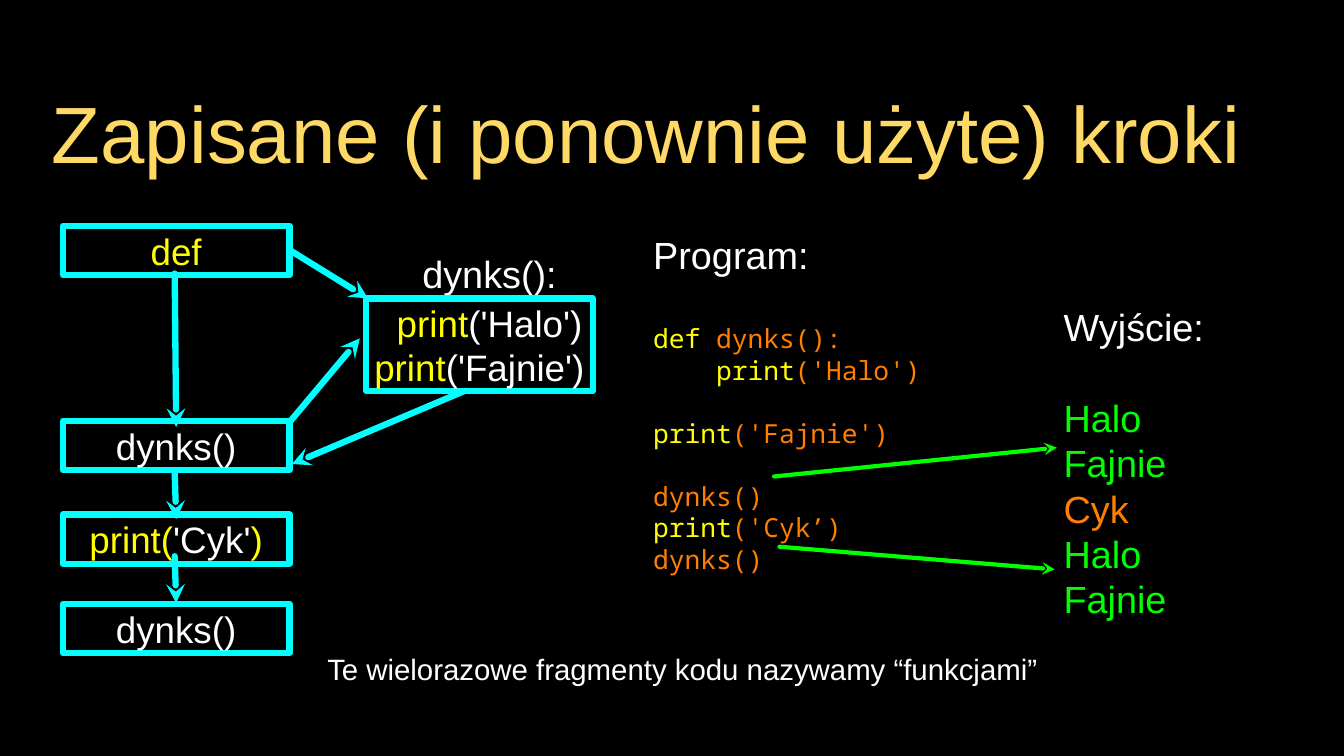
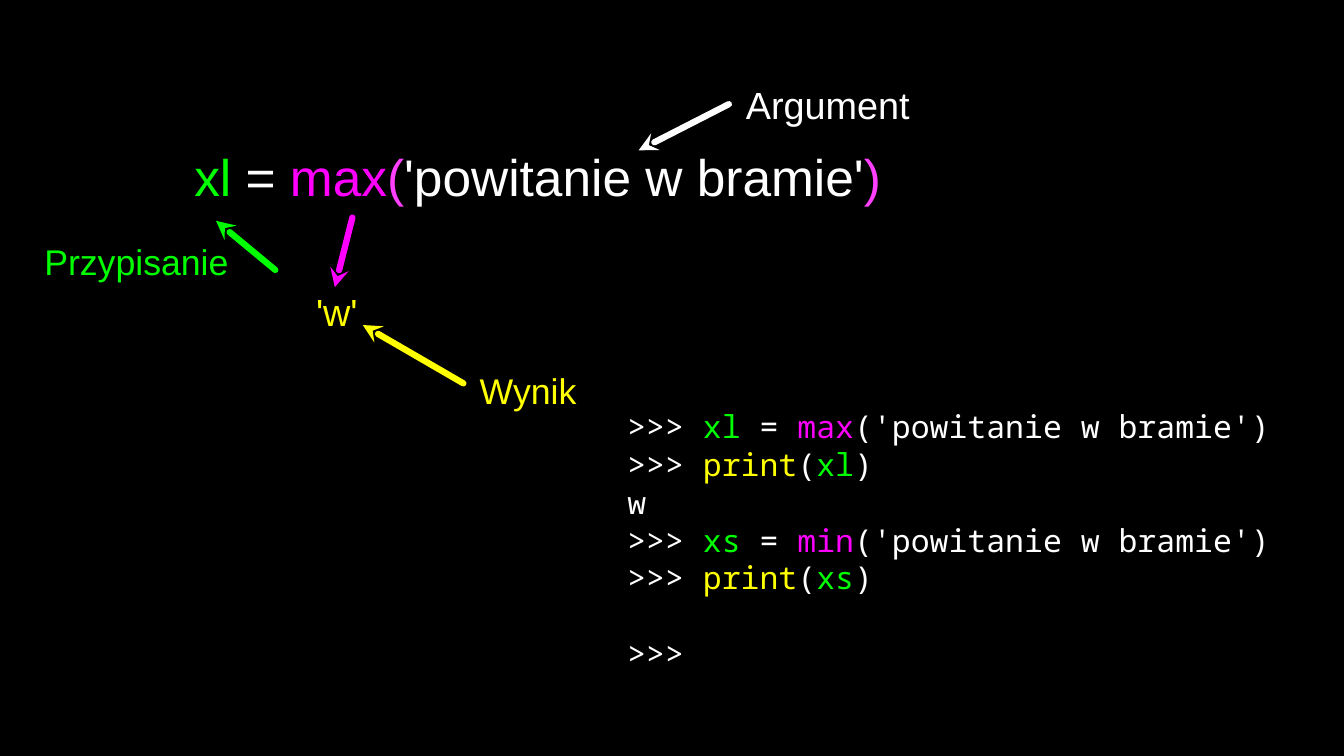
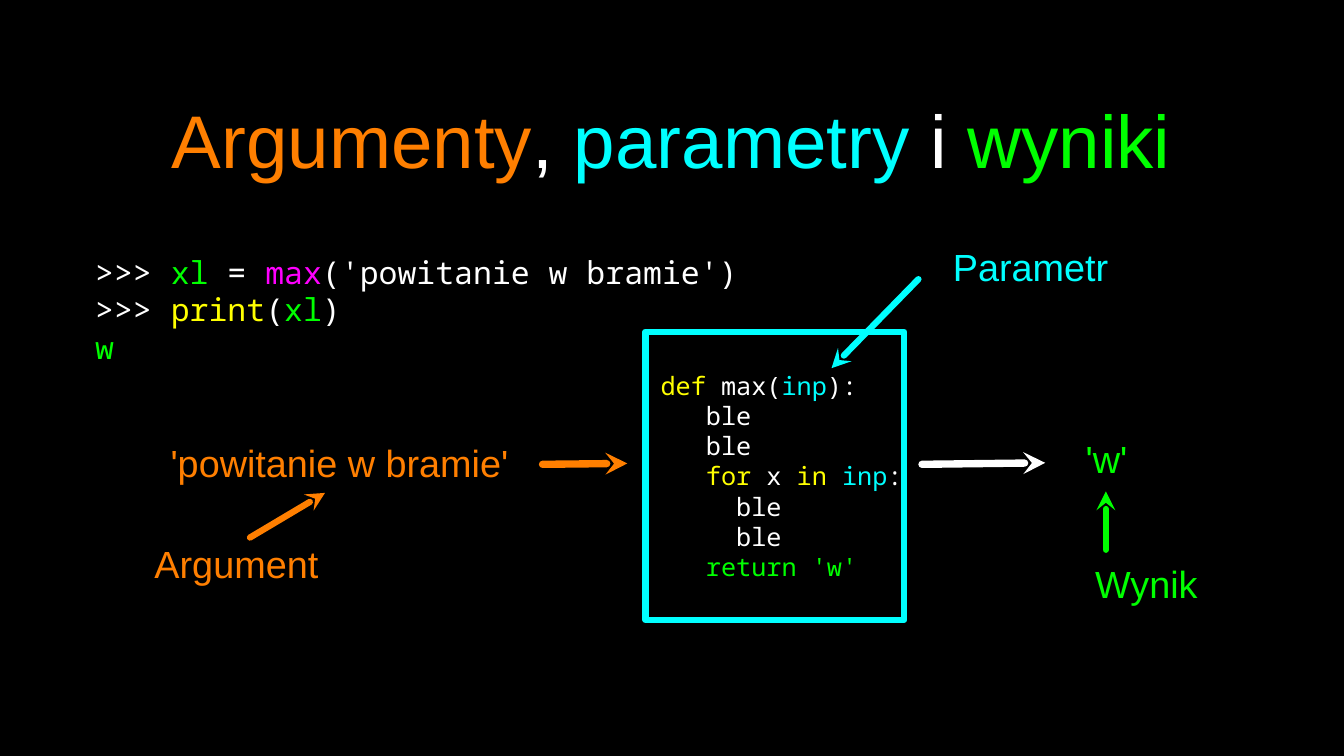
from collections import namedtuple

from lxml import etree
from pptx import Presentation
from pptx.dml.color import RGBColor
from pptx.enum.shapes import MSO_CONNECTOR, MSO_SHAPE
from pptx.enum.text import MSO_ANCHOR, PP_ALIGN
from pptx.oxml.ns import qn
from pptx.util import Cm, Pt

STRAIGHT = MSO_CONNECTOR.STRAIGHT
RECTANGLE = MSO_SHAPE.RECTANGLE
MIDDLE = MSO_ANCHOR.MIDDLE
LEFT, CENTER = PP_ALIGN.LEFT, PP_ALIGN.CENTER

COLORS = {
    "black": "000000", "white": "FFFFFF", "gold": "FFD966", "yellow": "FFFF00",
    "cyan": "00FFFF", "green": "00FF00", "orange": "FF7F00",
    "magenta": "FF00FF", "pink": "FF40FF",
}
SANS, MONO = "Arial", "Noto Sans Mono"
LEADING = 1.2
LABEL_HEIGHT = 1.73
FRAME_FORMAT = {
    "word_wrap": True, "vertical_anchor": MIDDLE, "margin_left": 0,
    "margin_right": 0, "margin_top": 0, "margin_bottom": 0,
}

Box = namedtuple("Box", "left top width height")
Line = namedtuple("Line", "runs size font before")


def rgb(color):
    """Return the named palette colour."""
    return RGBColor.from_string(COLORS[color])


def within(area, left, top, width, height=LABEL_HEIGHT):
    """Return a box placed relative to an area, in centimetres."""
    return Box(area.left + left, area.top + top, width, height)


def line(*runs, size=36, font=SANS, before=0):
    """Describe a line of (colour, text) runs."""
    return Line(runs, size, font, before)


def code(*runs, size=30, before=0):
    """Describe a line of program text."""
    return line(*runs, size=size, font=MONO, before=before)


def write(frame, lines, align):
    """Fill a text frame with lines."""
    for name, value in FRAME_FORMAT.items():
        setattr(frame, name, value)
    for index, content in enumerate(lines):
        paragraph = frame.add_paragraph() if index else frame.paragraphs[0]
        spacing = {"alignment": align, "line_spacing": Pt(content.size * LEADING)}
        if content.before:
            spacing["space_before"] = Pt(content.before)
        for name, value in spacing.items():
            setattr(paragraph, name, value)
        for color, text in content.runs:
            run = paragraph.add_run()
            run.text = text
            for name, value in {"name": content.font, "size": Pt(content.size)}.items():
                setattr(run.font, name, value)
            run.font.color.rgb = rgb(color)


def add_text(slide, box, *lines, align=CENTER):
    """Add a text box."""
    write(slide.shapes.add_textbox(*map(Cm, box)).text_frame, lines, align)


def stroke(shape, color, width):
    """Give a shape a rounded line and return its XML element."""
    shape.line.color.rgb = rgb(color)
    shape.line.width = Pt(width)
    outline = shape.line._get_or_add_ln()
    outline.set("cap", "rnd")
    etree.SubElement(outline, qn("a:round"))
    return outline


def add_frame(slide, box, *lines, align=CENTER):
    """Add a cyan outlined box with text."""
    frame = slide.shapes.add_shape(RECTANGLE, *map(Cm, box))
    frame.shadow.inherit = False
    frame.fill.background()
    stroke(frame, "cyan", 6)
    write(frame.text_frame, lines, align)


def add_arrow(slide, area, tip, tail, color, width=6):
    """Add an arrow whose ends are relative to an area."""
    ends = (area.left + tip[0], area.top + tip[1],
            area.left + tail[0], area.top + tail[1])
    arrow = slide.shapes.add_connector(STRAIGHT, *map(Cm, ends))
    outline = stroke(arrow, color, width)
    etree.SubElement(outline, qn("a:headEnd"), type="stealth")
    etree.SubElement(arrow._element.spPr, qn("a:effectLst"))


def add_title(slide, box, *runs, size):
    """Add a slide title."""
    add_text(slide, box, line(*runs, size=size))


def assignment(name, function):
    """Return the console line that stores a function's result."""
    return code(("white", ">>> "), ("green", name), ("white", " = "),
                ("magenta", function), ("white", "('powitanie w bramie')"))


def printing(name):
    """Return the console line that prints a variable."""
    return code(("white", ">>> "), ("yellow", "print"), ("white", "("),
                ("green", name), ("white", ")"))


def call_flow(slide, area):
    """Draw the steps of the program and the stored function."""
    steps = [
        (0, [("yellow", "def")]),
        (6.55, [("white", "dynks()")]),
        (9.7, [("yellow", "print("), ("white", "'Cyk'"), ("yellow", ")")]),
        (12.7, [("white", "dynks()")]),
    ]
    for top, runs in steps:
        add_frame(slide, within(area, 0, top, 7.62, 1.65), line(*runs, size=35))
    add_text(slide, within(area, 11.89, 0.74, 4.9), line(("white", "dynks():")))
    add_frame(slide, within(area, 10.19, 2.44, 7.62, 3.1),
              line(("white", "  "), ("yellow", "print"), ("white", "('Halo')"), size=35),
              line(("yellow", "print"), ("white", "('Fajnie')"), size=35))
    for tip, tail in [(6.76, 1.6), (9.86, 8.28), (12.67, 11.1)]:
        add_arrow(slide, area, (3.81, tip), (3.76, tail), "cyan")
    for tip, tail in [((10.26, 2.44), (7.62, 0.81)), ((9.98, 3.78), (7.59, 6.63)),
                      ((7.7, 8), (13.51, 5.54))]:
        add_arrow(slide, area, tip, tail, "cyan")


def program_and_output(slide, area):
    """Show the program beside what it prints."""
    def_gap, call_gap = 36 * LEADING, 25 * LEADING
    add_text(
        slide, within(area, 0, 0, 9.96, 10.57),
        line(("white", "Program:")),
        code(("yellow", "def "), ("orange", "dynks():"), size=25, before=def_gap),
        code(("yellow", "    print"), ("orange", "('Halo')"), size=25),
        code(("yellow", "    print"), ("orange", "('Fajnie')"), size=25),
        code(("orange", "dynks()"), size=25, before=call_gap),
        code(("yellow", "print"), ("orange", "('Cyk’)"), size=25),
        code(("orange", "dynks()"), size=25),
        align=LEFT)
    add_text(
        slide, within(area, 13.79, 2.08, 8.79, 10.41),
        line(("white", "Wyjście:")),
        line(("green", "Halo"), before=def_gap),
        line(("green", "Fajnie")),
        line(("orange", "Cyk")),
        line(("green", "Halo")),
        line(("green", "Fajnie")),
        align=LEFT)
    add_arrow(slide, area, (13.56, 6.78), (4.06, 7.75), "green", 4)
    add_arrow(slide, area, (13.49, 10.87), (4.24, 10.11), "green", 4)


def annotated_call(slide, area):
    """Label the parts of a call to max."""
    add_text(slide, within(area, 5.59, 2.13, 25.78, 2.26),
             line(("green", "xl"), ("white", " = "), ("magenta", "max"), ("pink", "("),
                  ("white", "'powitanie w bramie'"), ("pink", ")"), size=49),
             align=LEFT)
    labels = [
        ("Argument", 23.55, 0, 6.65, 36, "white"),
        ("'w'", 9.53, 6.96, 1.7, 36, "yellow"),
        ("Wynik", 15.04, 9.6, 3.53, 34, "yellow"),
        ("Przypisanie", 0, 5.28, 7.29, 34, "green"),
    ]
    for text, left, top, width, size, color in labels:
        add_text(slide, within(area, left, top, width), line((color, text), size=size))
    arrows = [
        ((20.52, 2.41), (23.55, 0.86), "white"),
        ((11.25, 8.28), (14.63, 10.24), "yellow"),
        ((6.32, 4.78), (8.31, 6.43), "green"),
        ((10.31, 7.01), (10.9, 4.67), "magenta"),
    ]
    for arrow in arrows:
        add_arrow(slide, area, *arrow)


def data_flow(slide, area):
    """Follow the argument through max to its result."""
    body = [
        [("yellow", " def"), ("white", " max("), ("cyan", "inp"), ("white", "):")],
        [("white", "    ble")],
        [("white", "    ble")],
        [("yellow", "    for"), ("white", " x "), ("yellow", "in "),
         ("cyan", "inp"), ("white", ":")],
        [("white", "      ble")],
        [("white", "      ble")],
        [("green", "    return 'w'")],
    ]
    add_frame(slide, within(area, 16.97, 3.07, 8.69, 9.68),
              *(code(*runs, size=24) for runs in body), align=LEFT)
    labels = [
        ("'powitanie w bramie'", 0.58, 6.6, 12.22, "orange"),
        ("Argument", 0, 9.98, 6.45, "orange"),
        ("Parametr", 26.47, 0, 6.88, "cyan"),
        ("'w'", 31.57, 6.45, 1.78, "green"),
        ("Wynik", 31.45, 10.67, 4.7, "green"),
    ]
    for text, left, top, width, color in labels:
        add_text(slide, within(area, left, top, width), line((color, text)))
    arrows = [
        ((16.36, 7.49), (13.51, 7.52), "orange", 7),
        ((30.4, 7.47), (26.26, 7.52), "white", 7),
        ((6.2, 8.48), (3.68, 9.98), "orange"),
        ((23.22, 4.29), (26.14, 1.3), "cyan"),
        ((32.44, 8.43), (32.44, 10.39), "green"),
    ]
    for arrow in arrows:
        add_arrow(slide, area, *arrow)


def reused_steps_slide(slide, page):
    """Build the slide on stored and reused steps."""
    add_title(slide, within(page, 1.5, 2.01, 40.41, 4.83),
              ("gold", "Zapisane (i ponownie użyte) kroki"), size=76)
    call_flow(slide, within(page, 2.11, 7.59, 17.81, 14.35))
    program_and_output(slide, within(page, 21.95, 8.26, 22.58, 12.49))
    add_text(slide, within(page, 10.69, 21.59, 24.46),
             line(("white", "Te wielorazowe fragmenty kodu nazywamy “funkcjami”"), size=28))


def max_call_slide(slide, page):
    """Build the slide on calling max and min."""
    annotated_call(slide, within(page, 0.94, 2.64, 31.37, 11.33))
    last_prompt = code(("white", ">>>"), before=30 * LEADING)
    add_text(slide, within(page, 21.08, 13.54, 23.16, 9.17),
             assignment("xl", "max"), printing("xl"), code(("white", "w")),
             assignment("xs", "min"), printing("xs"), last_prompt, align=LEFT)


def arguments_slide(slide, page):
    """Build the slide on arguments, parameters and results."""
    add_title(slide, within(page, 3.2, 2.24, 38.71, 4.83),
              ("orange", "Argumenty"), ("white", ", "), ("cyan", "parametry"),
              ("white", " i "), ("green", "wyniki"), size=71)
    add_text(slide, within(page, 3.2, 8.08, 22.12, 4.62),
             assignment("xl", "max"), printing("xl"), code(("green", "w")), align=LEFT)
    data_flow(slide, within(page, 4.72, 8.08, 36.15, 12.75))


def main():
    """Build and save the presentation."""
    page = Box(0, 0, 45.16, 25.4)
    deck = Presentation()
    deck.slide_width, deck.slide_height = Cm(page.width), Cm(page.height)
    backdrop = deck.slide_master.background.fill
    backdrop.solid()
    backdrop.fore_color.rgb = rgb("black")
    for build in (reused_steps_slide, max_call_slide, arguments_slide):
        build(deck.slides.add_slide(deck.slide_layouts[6]), page)
    deck.save("out.pptx")


if __name__ == "__main__":
    main()
